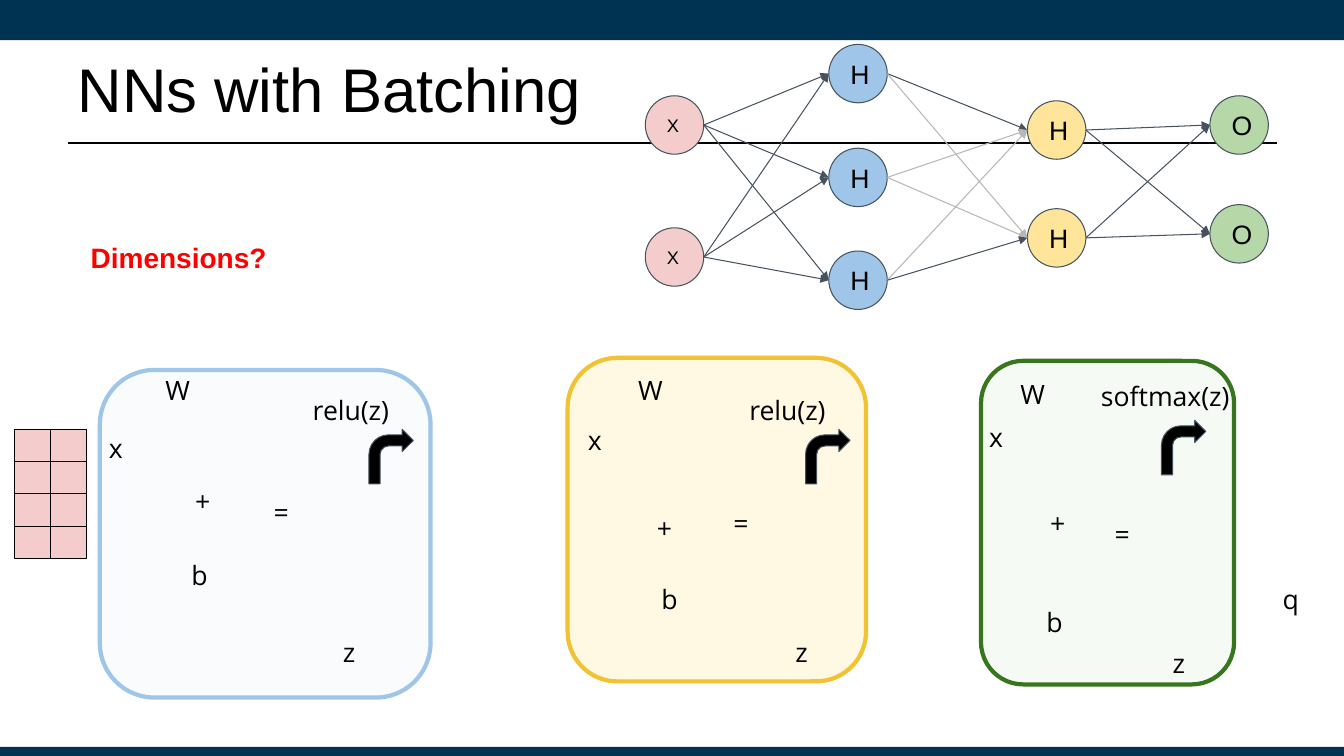
import dataclasses
import itertools

import pptx
import pptx.dml.color
import pptx.enum.shapes
import pptx.enum.text
import pptx.oxml.ns
import pptx.oxml.xmlchemy
import pptx.util

Inches = pptx.util.Inches
Shape = pptx.enum.shapes.MSO_SHAPE
Align = pptx.enum.text.PP_ALIGN
Anchor = pptx.enum.text.MSO_ANCHOR


@dataclasses.dataclass(frozen=True)
class Theme:
    heading_font: str = "Arial"
    label_font: str = "Open Sans"
    title_size: int = 44
    question_size: int = 20
    label_size: int = 19
    input_size: int = 13
    ink: str = "000000"
    navy: str = "003252"
    slate: str = "46535E"
    faint: str = "B7B7B7"
    alert: str = "FF0000"
    pink: str = "F4CCCC"
    blue: str = "9FC5E8"
    pale_blue: str = "CFE2F3"
    yellow: str = "FFE599"
    amber: str = "FFD966"
    gold: str = "F1C232"
    green: str = "B6D7A8"
    dark_green: str = "38761D"


def rgb(code):
    return pptx.dml.color.RGBColor.from_string(code)


def write_text(frame, text, *, font, size, color, bold=False, align=Align.LEFT,
               anchor=Anchor.TOP, inset=0.13, inset_y=None):
    frame.word_wrap = True
    frame.auto_size = pptx.enum.text.MSO_AUTO_SIZE.NONE
    frame.vertical_anchor = anchor
    frame.margin_left = frame.margin_right = Inches(inset)
    frame.margin_top = frame.margin_bottom = Inches(inset if inset_y is None else inset_y)
    para = frame.paragraphs[0]
    para.alignment = align
    span = para.add_run()
    span.text = text
    span.font.name = font
    span.font.size = pptx.util.Pt(size)
    span.font.bold = bold
    span.font.color.rgb = rgb(color)


class SlideBuilder:
    def __init__(self, page, theme):
        self.page = page
        self.theme = theme

    def title(self, text, *place):
        box = self.page.shapes.title
        box.left, box.top, box.width, box.height = map(Inches, place)
        write_text(box.text_frame, text, font=self.theme.heading_font,
                   size=self.theme.title_size, color=self.theme.ink,
                   anchor=Anchor.MIDDLE, inset=0.1, inset_y=0.05)

    def shape(self, kind, place, fill, line=None, weight=0.75, opacity=None):
        shape = self.page.shapes.add_shape(kind, *map(Inches, place))
        shape.shadow.inherit = False
        shape.fill.solid()
        shape.fill.fore_color.rgb = rgb(fill)
        if opacity is not None:
            color = shape._element.spPr.find(".//" + pptx.oxml.ns.qn("a:srgbClr"))
            alpha = pptx.oxml.xmlchemy.OxmlElement("a:alpha")
            alpha.set("val", str(opacity * 1000))
            color.append(alpha)
        if line:
            shape.line.color.rgb = rgb(line)
            shape.line.width = pptx.util.Pt(weight)
        else:
            shape.line.fill.background()
        return shape

    def text(self, text, *place, **style):
        box = self.page.shapes.add_textbox(*map(Inches, place))
        style = {"font": self.theme.label_font, "size": self.theme.label_size,
                 "color": self.theme.ink} | style
        write_text(box.text_frame, text, **style)

    def symbol(self, text, left, top):
        self.text(text, left, top, 1, 0.23, align=Align.CENTER, anchor=Anchor.MIDDLE)

    def line(self, start, end, color, weight=0.75, arrow=False):
        line = self.page.shapes.add_connector(
            pptx.enum.shapes.MSO_CONNECTOR.STRAIGHT, *map(Inches, start + end))
        line.line.color.rgb = rgb(color)
        line.line.width = pptx.util.Pt(weight)
        properties = line._element.spPr
        if arrow:
            head = pptx.oxml.xmlchemy.OxmlElement("a:tailEnd")
            head.set("type", "triangle")
            properties.find(pptx.oxml.ns.qn("a:ln")).append(head)
        properties.append(pptx.oxml.xmlchemy.OxmlElement("a:effectLst"))

    def node(self, text, left, top, diameter, fill, size):
        node = self.shape(Shape.FLOWCHART_CONNECTOR, (left, top, diameter, diameter),
                          fill, self.theme.slate)
        write_text(node.text_frame, text, font=self.theme.heading_font, size=size,
                   color=self.theme.ink, anchor=Anchor.MIDDLE)

    def network(self, layers, faint_edges, diameter=0.58):
        for text, left, tops, fill, size in layers:
            for top in tops:
                self.node(text, left, top, diameter, fill, size)
        for index, (source, target) in enumerate(itertools.pairwise(layers)):
            pairs = itertools.product(enumerate(source[2]), enumerate(target[2]))
            for (row, start_top), (column, end_top) in pairs:
                faint = (index, row, column) in faint_edges
                self.line((source[1] + diameter, start_top + diameter / 2),
                          (target[1], end_top + diameter / 2),
                          self.theme.faint if faint else self.theme.slate, arrow=True)

    def grid(self, left, top, rows, columns, width, height, fill):
        for row, column in itertools.product(range(rows), range(columns)):
            self.shape(Shape.RECTANGLE,
                       (left + column * width, top + row * height, width, height),
                       fill, self.theme.ink)

    def panel(self, place, fill, opacity, line, weight_at, result_at, arrow_at, symbols):
        self.shape(Shape.ROUNDED_RECTANGLE, place, fill, line, 3, opacity)
        self.text("W", *weight_at, 1, 0.23)
        self.text("z", *result_at, 0.71, 0.54)
        self.shape(Shape.BENT_ARROW, (*arrow_at, 0.44, 0.54), self.theme.ink, self.theme.slate)
        for text, position in zip("x+=b", symbols):
            self.symbol(text, *position)


def main():
    deck = pptx.Presentation()
    deck.slide_width, deck.slide_height = Inches(13.33), Inches(7.5)
    theme = Theme()
    slide = SlideBuilder(deck.slides.add_slide(deck.slide_layouts[5]), theme)

    for top, height in ((0, 0.4), (7.41, 0.09)):
        slide.shape(Shape.RECTANGLE, (0, top, 13.33, height), theme.navy)
    slide.line((0.67, 1.42), (12.67, 1.42), theme.ink, 1.25)
    slide.title("NNs with Batching", 0.67, 0.25, 12, 1.25)

    layers = [
        ("X", 6.4, (0.95, 2.26), theme.pink, theme.input_size),
        ("H", 8.22, (0.44, 1.47, 2.49), theme.blue, theme.label_size),
        ("H", 10.19, (1, 2.07), theme.yellow, theme.label_size),
        ("O", 12, (0.95, 2.03), theme.green, theme.label_size),
    ]
    slide.network(layers, {(1, 0, 1), (1, 1, 0), (1, 1, 1), (1, 2, 0)})
    slide.grid(0.14, 4.26, 4, 2, 0.36, 0.32, theme.pink)

    slide.panel((0.99, 3.67, 3.28, 3.25), theme.pale_blue, 11, theme.blue,
                (1.51, 3.59), (3.27, 6.18), (3.66, 4.26),
                ((0.65, 4.33), (1.51, 4.85), (2.29, 4.96), (1.48, 5.59)))
    slide.panel((5.63, 3.55, 2.96, 3.21), theme.amber, 18, theme.gold,
                (6.2, 3.59), (7.76, 6.18), (7.99, 4.26),
                ((5.4, 4.25), (6.09, 5.12), (6.85, 5.07), (6.14, 5.83)))
    slide.panel((9.73, 3.58, 2.51, 3.21), theme.green, 12, theme.dark_green,
                (9.99, 3.63), (11.5, 6.29), (11.52, 4.17),
                ((9.38, 4.22), (9.99, 5.07), (10.63, 5.18), (9.96, 6.05)))

    for left in (2.79, 7.12):
        slide.text("relu(z)", left, 3.78, 1.38, 0.56, align=Align.CENTER)
    slide.text("softmax(z)", 10.79, 3.64, 1.8, 0.7)
    slide.text("q", 12.59, 5.65, 0.71, 0.54)
    slide.text("Dimensions?", 0.8, 2.29, 3.28, 0.54, font=theme.heading_font,
               size=theme.question_size, color=theme.alert, bold=True, inset=0.1)

    deck.save("out.pptx")


if __name__ == "__main__":
    main()
